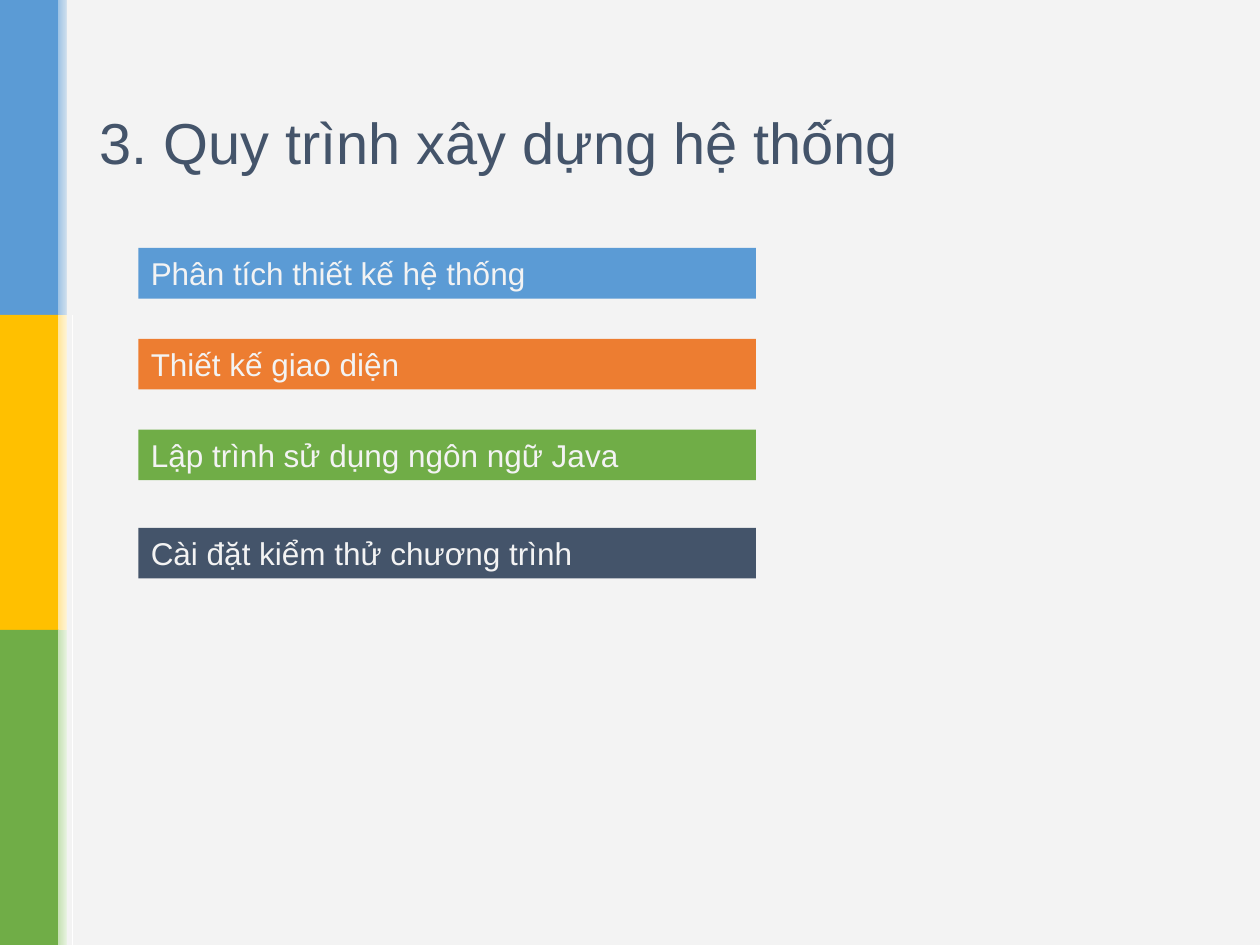
"""Build the slide listing the four steps of the system building process."""
from pptx import Presentation
from pptx.dml.color import RGBColor
from pptx.enum.shapes import MSO_SHAPE
from pptx.enum.text import MSO_ANCHOR, MSO_AUTO_SIZE, PP_ALIGN
from pptx.util import Cm, Pt

RECTANGLE = MSO_SHAPE.RECTANGLE
MIDDLE = MSO_ANCHOR.MIDDLE
TOP = MSO_ANCHOR.TOP
LEFT = PP_ALIGN.LEFT
NO_AUTOFIT = MSO_AUTO_SIZE.NONE
GROW = MSO_AUTO_SIZE.SHAPE_TO_FIT_TEXT

BLUE = RGBColor(0x5B, 0x9B, 0xD5)
ORANGE = RGBColor(0xED, 0x7D, 0x31)
GREEN = RGBColor(0x70, 0xAD, 0x47)
YELLOW = RGBColor(0xFF, 0xC0, 0x00)
NAVY = RGBColor(0x44, 0x54, 0x6A)
PALE = RGBColor(0xF3, 0xF3, 0xF3)
WHITE = RGBColor(0xFF, 0xFF, 0xFF)
LIGHT_BLUE = RGBColor(0x9C, 0xC2, 0xE5)
LIGHT_YELLOW = RGBColor(0xFF, 0xE5, 0x99)
LIGHT_GREEN = RGBColor(0xC4, 0xE0, 0xB2)

FONT = "Arial"
TITLE = "3. Quy trình xây dựng hệ thống"
STEPS = [
    ("Phân tích thiết kế hệ thống", BLUE, 5),
    ("Thiết kế giao diện", ORANGE, 6.83),
    ("Lập trình sử dụng ngôn ngữ Java", GREEN, 8.66),
    ("Cài đặt kiểm thử chương trình", NAVY, 10.64),
]
SIDE_BANDS = [
    (BLUE, LIGHT_BLUE, PALE),
    (YELLOW, LIGHT_YELLOW, WHITE),
    (GREEN, LIGHT_GREEN, WHITE),
]
SLIDE_WIDTH, SLIDE_HEIGHT = 25.4, 19.05
BAND_HEIGHT = SLIDE_HEIGHT / len(SIDE_BANDS)


def add_rectangle(slide, left, top, width, height, color=None):
    shape = slide.shapes.add_shape(RECTANGLE, Cm(left), Cm(top), Cm(width), Cm(height))
    shape.shadow.inherit = False
    shape.line.fill.background()
    if color is not None:
        shape.fill.solid()
        shape.fill.fore_color.rgb = color
    return shape


def set_text(shape, text, size, color, anchor, auto_size):
    frame = shape.text_frame
    frame.text = text
    frame.word_wrap = True
    frame.auto_size = auto_size
    frame.vertical_anchor = anchor
    paragraph = frame.paragraphs[0]
    paragraph.alignment = LEFT
    font = paragraph.runs[0].font
    font.name = FONT
    font.size = Pt(size)
    font.color.rgb = color


def add_side_bands(slide):
    for index, (color, *fade_colors) in enumerate(SIDE_BANDS):
        top = index * BAND_HEIGHT
        add_rectangle(slide, 0, top, 1.19, BAND_HEIGHT, color)
        fade = add_rectangle(slide, 1.17, top, 0.3, BAND_HEIGHT)
        fade.fill.gradient()
        fade.fill.gradient_angle = 0
        for stop, fade_color in zip(fade.fill.gradient_stops, fade_colors):
            stop.color.rgb = fade_color
    add_rectangle(slide, 1.35, 0, 0.1, SLIDE_HEIGHT, PALE)


def add_title(slide):
    title = slide.shapes.title
    title.left, title.top = Cm(1.75), Cm(1.02)
    title.width, title.height = Cm(21.92), Cm(3.68)
    set_text(title, TITLE, 33, NAVY, MIDDLE, NO_AUTOFIT)


def main():
    presentation = Presentation()
    presentation.slide_width = Cm(SLIDE_WIDTH)
    presentation.slide_height = Cm(SLIDE_HEIGHT)
    slide = presentation.slides.add_slide(presentation.slide_layouts[5])
    background = slide.background.fill
    background.solid()
    background.fore_color.rgb = BLUE

    panel = add_rectangle(slide, 0, 0, SLIDE_WIDTH, SLIDE_HEIGHT, PALE)
    slide.shapes.title.element.addprevious(panel.element)
    add_side_bands(slide)
    add_title(slide)
    for text, color, top in STEPS:
        bar = add_rectangle(slide, 2.79, top, 12.45, 1.02, color)
        set_text(bar, text, 18, PALE, TOP, GROW)
    presentation.save("out.pptx")


if __name__ == "__main__":
    main()
